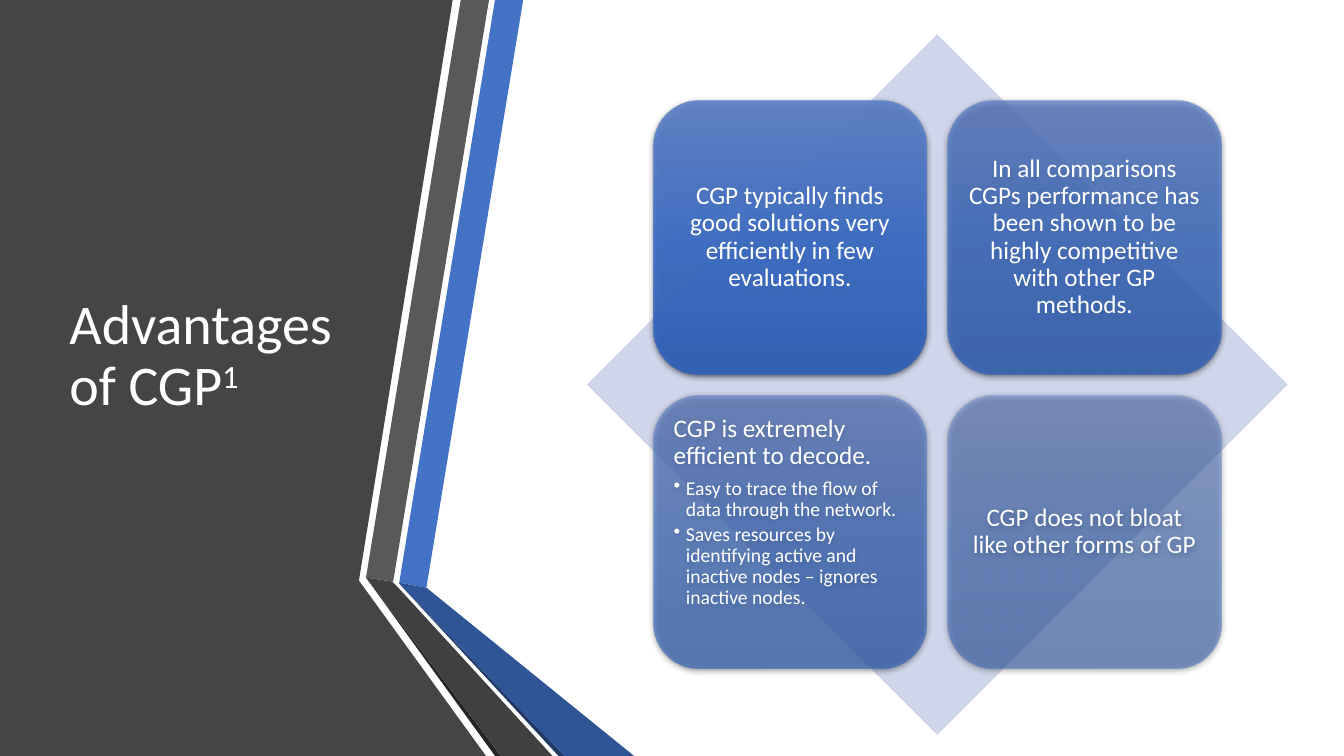
from pptx import Presentation
from pptx import util as u
from pptx.dml.color import RGBColor
from pptx.enum import shapes, text
from pptx.oxml import parse_xml
from pptx.oxml.ns import nsdecls, qn

PX = 9144
WHITE = RGBColor(0xFF, 0xFF, 0xFF)
PANEL_GREY = RGBColor(0x45, 0x45, 0x45)
STRIPE_GREY = RGBColor(0x59, 0x59, 0x59)
FOLD_GREY = RGBColor(0x40, 0x40, 0x40)
EDGE_GREY = RGBColor(0x26, 0x26, 0x26)
STRIPE_BLUE = RGBColor(0x44, 0x72, 0xC4)
FOLD_BLUE = RGBColor(0x2F, 0x55, 0x97)
EDGE_BLUE = RGBColor(0x20, 0x38, 0x64)
DIAMOND_BLUE = RGBColor(0xCF, 0xD5, 0xEA)
CARD_TOP = RGBColor(0x61, 0x83, 0xCB)
CARD_MIDDLE = RGBColor(0x3E, 0x70, 0xCA)
CARD_BOTTOM = RGBColor(0x30, 0x62, 0xBB)

RIBBONS = [
    (PANEL_GREY, [(0, 0), (449, 0), (356, 576), (482, 750), (0, 750)]),
    (STRIPE_BLUE, [(396, 578), (423, 583), (519, 0), (491, 0)]),
    (STRIPE_GREY, [(485, 0), (457, 0), (363, 573), (390, 577)]),
    (EDGE_GREY, [(363, 573), (491, 750), (497, 750)]),
    (EDGE_BLUE, [(396, 579), (554, 750), (560, 750)]),
    (FOLD_BLUE, [(396, 579), (560, 750), (629, 750), (423, 583), (396, 578)]),
    (FOLD_GREY, [(548, 750), (395, 583), (389, 577), (363, 573), (497, 750)]),
]
CARDS = [
    (90, ["CGP typically finds good solutions very efficiently in few evaluations."]),
    (77, ["In all comparisons CGPs performance has been shown to be highly "
          "competitive with other GP methods."]),
    (63, ["CGP is extremely efficient to decode.",
          "Easy to trace the flow of data through the network.",
          "Saves resources by identifying active and inactive nodes – ignores inactive nodes."]),
    (50, ["CGP does not bloat like other forms of GP"]),
]


def assign(target, values):
    """Set each named attribute of the target."""
    for name, value in values.items():
        setattr(target, name, value)


def paint(shape, color):
    """Give a shape a plain fill with no line or shadow."""
    shape.fill.solid()
    shape.fill.fore_color.rgb = color
    shape.line.fill.background()
    shape.shadow.inherit = False


def add_run(paragraph, words, size):
    """Add white Calibri words to a paragraph."""
    run = paragraph.add_run()
    run.text = words
    assign(run.font, {"name": "Calibri", "size": u.Pt(size)})
    run.font.color.rgb = WHITE
    return run


def add_ribbons(slide, left, top):
    """Draw the dark panel and its folded stripes."""
    for color, points in RIBBONS:
        corners = [(left + x, top + y) for x, y in points]
        builder = slide.shapes.build_freeform(*corners[0], scale=PX)
        builder.add_line_segments(corners[1:], close=True)
        paint(builder.convert_to_shape(), color)


def add_title(slide, left, top, width, height):
    """Place the title with its superscript reference."""
    box = slide.shapes.add_textbox(*(PX * n for n in (left, top, width, height)))
    assign(box.text_frame, {"word_wrap": True, "vertical_anchor": text.MSO_ANCHOR.MIDDLE})
    paragraph = box.text_frame.paragraphs[0]
    paragraph.line_spacing = 0.9
    add_run(paragraph, "Advantages of CGP", 40)
    reference = add_run(paragraph, "1", 40)
    reference.font._element.set("baseline", "30000")


def style_card(card, opacity):
    """Give a card its translucent gradient and soft shadow."""
    card.fill.gradient()
    card.fill.gradient_angle = 270
    card.line.fill.background()
    card.shadow.inherit = False
    properties = card._element.spPr
    stops = properties.find(".//" + qn("a:gsLst"))
    for stop in list(stops):
        stops.remove(stop)
    for position, color in ((0, CARD_TOP), (50, CARD_MIDDLE), (100, CARD_BOTTOM)):
        stops.append(parse_xml(
            f'<a:gs {nsdecls("a")} pos="{position * 1000}"><a:srgbClr val="{color}">'
            f'<a:alpha val="{opacity * 1000}"/></a:srgbClr></a:gs>'))
    properties.find(qn("a:effectLst")).append(parse_xml(
        f'<a:outerShdw {nsdecls("a")} blurRad="57150" dist="19050" dir="5400000" '
        'algn="ctr" rotWithShape="0"><a:srgbClr val="000000">'
        '<a:alpha val="63000"/></a:srgbClr></a:outerShdw>'))


def add_bullet(paragraph, indent):
    """Turn a paragraph into a hanging bullet point."""
    properties = paragraph._p.get_or_add_pPr()
    properties.set("marL", str(indent * PX))
    properties.set("indent", str(-indent * PX))
    properties.append(parse_xml(f'<a:buChar {nsdecls("a")} char="•"/>'))


def add_card(slide, left, top, size, opacity, lines):
    """Draw one card holding a statement and any bullet points."""
    card = slide.shapes.add_shape(shapes.MSO_SHAPE.ROUNDED_RECTANGLE,
                                  *(PX * n for n in (left, top, size, size)))
    style_card(card, opacity)
    has_bullets = len(lines) > 1
    frame = card.text_frame
    margins = dict.fromkeys(
        ("margin_left", "margin_top", "margin_right", "margin_bottom"), 7 * PX)
    anchor = text.MSO_ANCHOR.TOP if has_bullets else text.MSO_ANCHOR.MIDDLE
    assign(frame, {"word_wrap": True, "vertical_anchor": anchor, **margins})
    for index, words in enumerate(lines):
        paragraph = frame.add_paragraph() if index else frame.paragraphs[0]
        assign(paragraph, {
            "alignment": text.PP_ALIGN.LEFT if has_bullets else text.PP_ALIGN.CENTER,
            "line_spacing": 0.9,
            "space_after": u.Pt(2.1 if index else 6.3),
            "level": 1 if index else 0,
        })
        if index:
            add_bullet(paragraph, 12)
        add_run(paragraph, words, 14 if index else 18)


def add_matrix(slide, left, top, size):
    """Draw the diamond and the two by two grid of cards on it."""
    diamond = slide.shapes.add_shape(shapes.MSO_SHAPE.DIAMOND,
                                     *(PX * n for n in (left, top, size, size)))
    paint(diamond, DIAMOND_BLUE)
    inset, card_size, pitch = 66, 271, 292
    for index, (opacity, lines) in enumerate(CARDS):
        row, column = divmod(index, 2)
        add_card(slide, left + inset + column * pitch, top + inset + row * pitch,
                 card_size, opacity, lines)


def main():
    """Build and save the slide."""
    presentation = Presentation()
    assign(presentation, {"slide_width": 1333 * PX, "slide_height": 750 * PX})
    slide = presentation.slides.add_slide(presentation.slide_layouts[6])
    add_ribbons(slide, 0, 0)
    add_title(slide, 59, 75, 304, 558)
    add_matrix(slide, 582, 34, 695)
    presentation.save("out.pptx")


if __name__ == "__main__":
    main()
